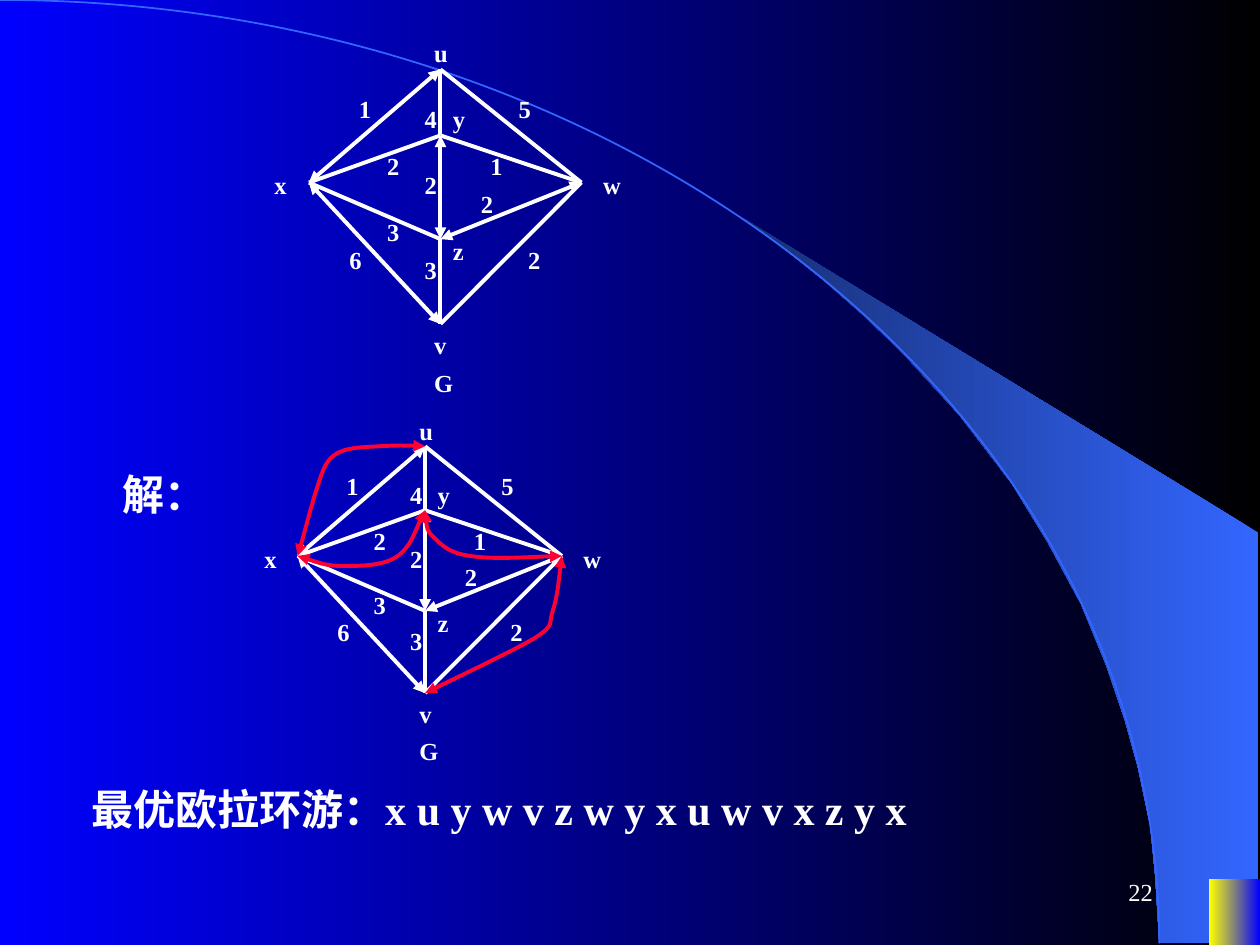
from dataclasses import dataclass

from lxml.etree import SubElement
from pptx import Presentation
from pptx.dml.color import RGBColor
from pptx.enum.shapes import MSO_CONNECTOR as Connector, MSO_SHAPE as Preset
from pptx.enum.text import MSO_ANCHOR as Anchor, PP_ALIGN as Align
from pptx.oxml.ns import qn
from pptx.util import Cm, Pt


@dataclass(frozen=True)
class Theme:
    font: str = "Times New Roman"
    text: str = "FFFFFF"
    tour: str = "FF0033"
    swoop: str = "3366FF"
    backdrop: tuple = ("000000", "0000FF")
    wedge: tuple = ("3366FF", "172F75")
    corner: tuple = ("0000FF", "FFFF00")
    small: float = 14
    large: float = 24
    thin: float = 1
    thick: float = 2.25


@dataclass(frozen=True)
class Box:
    left: float
    top: float
    width: float
    height: float

    def lengths(self):
        return [Cm(value) for value in (self.left, self.top, self.width, self.height)]


THEME = Theme()
PAGE = Box(0, 0, 25.4, 19.05)
GRID = 35

WEDGE = [(23.37, 19), (25.37, 19.02), (25.37, 10.74), (14.96, 4.39), (15.85, 5.05),
         (16.59, 5.64), (17.4, 6.35), (18.19, 7.11), (19.35, 8.38), (20.4, 9.75),
         (21.13, 10.95), (21.79, 12.17), (22.3, 13.41), (22.68, 14.53),
         (22.94, 15.47), (23.19, 16.66), (23.29, 17.68)]
ARC = [(0, 0), (12.9, 0), (23.37, 8.51), (23.37, 19.02)]

NODES = {"u": (19, 4), "x": (5, 16), "y": (19, 11), "z": (19, 22), "w": (34, 16), "v": (19, 31)}
EDGES = ["xz", "ux", "uy", "xy", "yz", "zv", "xv", "uw", "yw", "wz", "wv"]
TWO_WAY = {"ux", "yz", "xv", "wz"}
LABELS = [("y", 19, 7), ("2", 27, 22), ("2", 22, 16), ("2", 16, 14), ("2", 12, 12),
          ("1", 23, 12), ("1", 9, 6), ("u", 17, 0), ("4", 16, 7), ("3", 12, 19),
          ("3", 16, 23), ("6", 8, 22), ("5", 26, 6), ("w", 35, 14), ("x", 0, 14),
          ("v", 17, 31), ("G", 17, 35), ("z", 19, 21)]
TOUR = [
    [(19, 4), (17.3, 3.9), (15.6, 3.9), (14, 4), (12.3, 4.1), (10.1, 4.1), (9, 5),
     (7.9, 5.8), (7.6, 7.2), (7, 9), (6.4, 10.9), (5.4, 14.9), (5, 16)],
    [(5, 16), (6.6, 16.5), (8.2, 17.1), (10, 17.1), (11.8, 17.1), (14.5, 17.1),
     (16, 16), (17.4, 15), (18.5, 11.8), (19, 11)],
    [(19, 11), (19.1, 12.1), (19.1, 13.2), (20, 14), (20.9, 14.9), (21.7, 15.7),
     (24, 16), (26.3, 16.4), (32.4, 16), (34, 16)],
    [(34, 16), (33.7, 18.3), (33.5, 20.5), (33, 22), (32.5, 23.5), (33.3, 23.5),
     (31, 25), (28.6, 26.4), (21, 30), (19, 31)],
]


def paint_gradient(fill, colours):
    fill.gradient()
    fill.gradient_angle = 180
    for stop, colour in zip(fill.gradient_stops, colours):
        stop.color.rgb = RGBColor.from_string(colour)


def paint_line(shape, colour, width, arrows=False):
    shape.line.color.rgb = RGBColor.from_string(colour)
    shape.line.width = Pt(width)
    if arrows:
        outline = shape._element.spPr.find(qn("a:ln"))
        for end in ("a:headEnd", "a:tailEnd"):
            SubElement(outline, qn(end), type="triangle")


def add_outline(shapes, points, close):
    corners = [(Cm(x), Cm(y)) for x, y in points]
    builder = shapes.build_freeform(*corners[0])
    builder.add_line_segments(corners[1:], close=close)
    shape = builder.convert_to_shape()
    shape.shadow.inherit = False
    return shape


def add_curve(shapes, points, colour, width, arrows=False):
    shape = add_outline(shapes, points, close=False)
    shape.fill.background()
    paint_line(shape, colour, width, arrows)
    for outline in shape._element.iter(qn("a:path")):
        segments = outline.findall(qn("a:lnTo"))
        for first in range(0, len(segments), 3):
            bezier = SubElement(outline, qn("a:cubicBezTo"))
            for segment in segments[first:first + 3]:
                bezier.append(segment[0])
                outline.remove(segment)


def add_text(shapes, box, text, size=THEME.small, bold=True, align=Align.LEFT, **frame_format):
    frame = shapes.add_textbox(*box.lengths()).text_frame
    for name, value in {"word_wrap": True, **frame_format}.items():
        setattr(frame, name, value)
    para = frame.paragraphs[0]
    para.alignment = align
    span = para.add_run()
    span.text = text
    for name, value in {"name": THEME.font, "size": Pt(size), "bold": bold}.items():
        setattr(span.font, name, value)
    span.font.color.rgb = RGBColor.from_string(THEME.text)


def draw_backdrop(page, box):
    paint_gradient(page.background.fill, THEME.backdrop)

    def placed(points):
        return [(box.left + x, box.top + y) for x, y in points]

    wedge = add_outline(page.shapes, placed(WEDGE), close=True)
    paint_gradient(wedge.fill, THEME.wedge)
    wedge.line.fill.background()
    add_curve(page.shapes, placed(ARC), THEME.swoop, THEME.thin)
    width, height = 1.02, 1.32
    corner_box = Box(box.left + box.width - width, box.top + box.height - height, width, height)
    corner = page.shapes.add_shape(Preset.RECTANGLE, *corner_box.lengths())
    corner.shadow.inherit = False
    paint_gradient(corner.fill, THEME.corner)
    corner.line.fill.background()


def draw_graph(page, box, tour=()):
    shapes = page.shapes.add_group_shape().shapes

    def placed(x, y):
        return box.left + x * box.width / GRID, box.top + y * box.height / GRID

    for edge in EDGES:
        ends = [Cm(value) for node in edge for value in placed(*NODES[node])]
        line = shapes.add_connector(Connector.STRAIGHT, *ends)
        paint_line(line, THEME.text, THEME.thick, edge in TWO_WAY)
        SubElement(line._element.spPr, qn("a:effectLst"))
    for text, x, y in LABELS:
        add_text(shapes, Box(*placed(x, y), 0.93 if text == "G" else 0.78, 0.86), text)
    for curve in tour:
        add_curve(shapes, [placed(*point) for point in curve], THEME.tour, THEME.thick, True)


def draw_caption(page, box, text):
    add_text(page.shapes, box, text, THEME.large, margin_left=Cm(1.41))


def draw_page_number(page, box, text):
    add_text(page.shapes, box, text, bold=False, align=Align.RIGHT,
             vertical_anchor=Anchor.MIDDLE)


def main():
    deck = Presentation()
    deck.slide_width, deck.slide_height = Cm(PAGE.width), Cm(PAGE.height)
    page = deck.slides.add_slide(deck.slide_layouts[6])
    draw_backdrop(page, PAGE)
    draw_caption(page, Box(1.07, 9.32, 22.02, 1.27), "解：")
    draw_graph(page, Box(5.28, 0.64, 6.63, 6.65))
    draw_graph(page, Box(5.08, 8.26, 6.43, 6.45), TOUR)
    draw_caption(page, Box(0.43, 15.67, 22.02, 1.27),
                 "最优欧拉环游：x u y w v z w y x u w v x z y x")
    draw_page_number(page, Box(18.21, 17.35, 5.28, 1.27), "22")
    deck.save("out.pptx")


if __name__ == "__main__":
    main()
